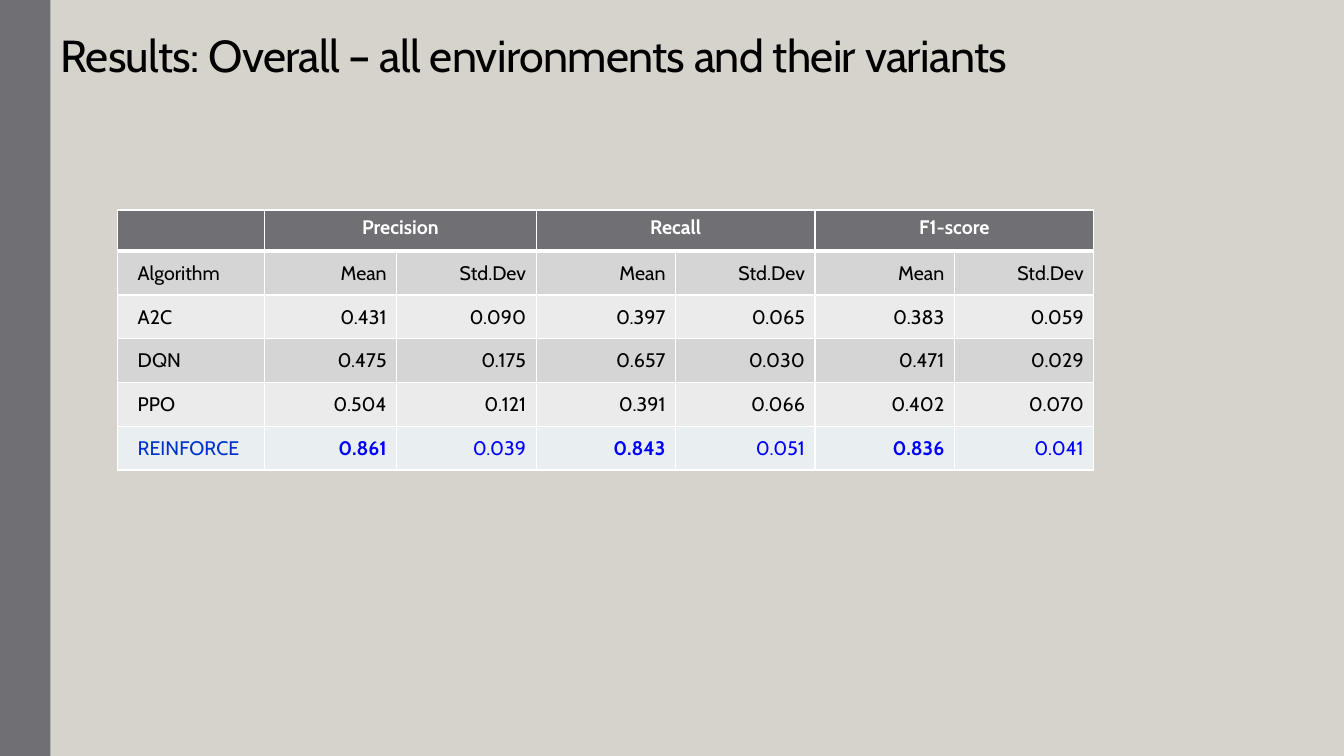
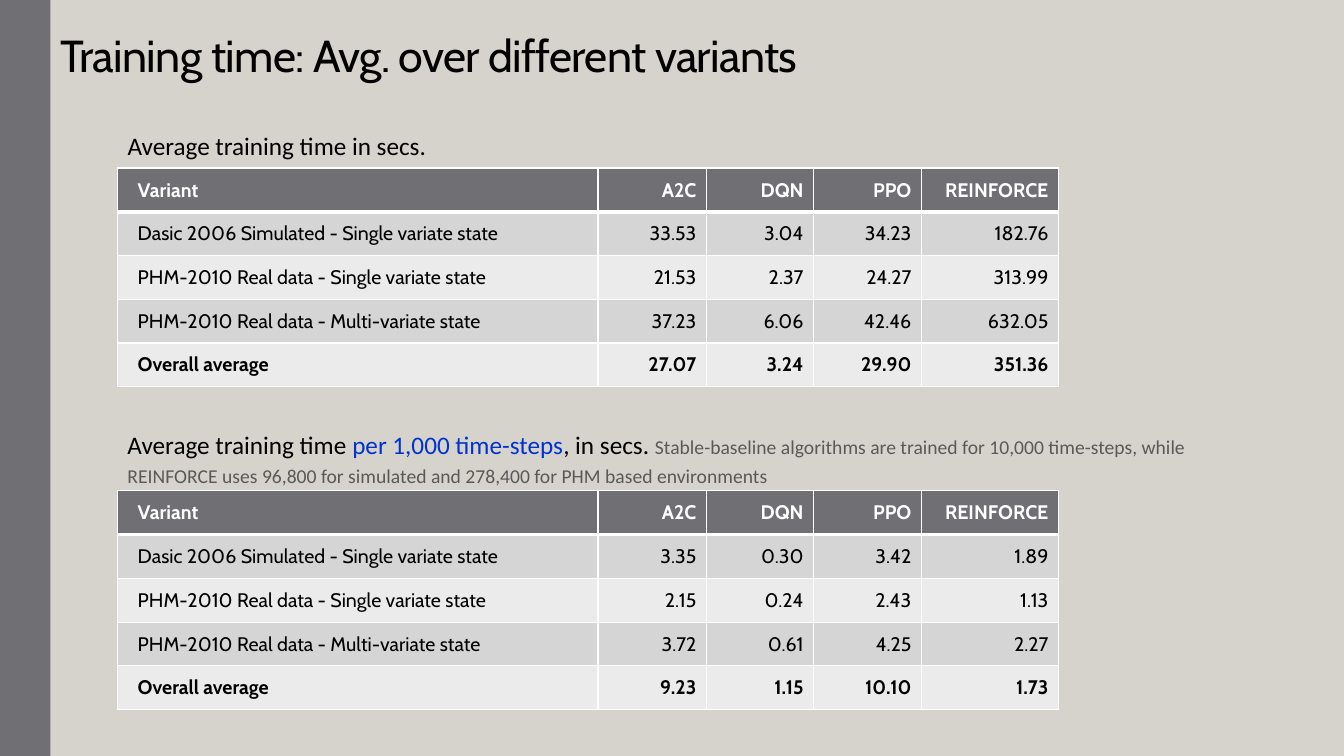
from lxml import etree
from pptx import Presentation
from pptx import util as u
from pptx.dml import color
from pptx.enum import shapes, text
from pptx.oxml import ns

# Grid of 80 columns by 45 rows, each a sixth of an inch
COLUMNS, ROWS = 80, 45
CELL = u.Inches(1) // 6
MARGIN = 7
ROW_HEIGHT = 2.46

COLOURS = {
    "paper": "D6D3CC", "band": "6F6F74", "white": "FFFFFF", "ink": "000000",
    "dark row": "D5D5D6", "light row": "EBEBEB", "highlight row": "E9EEF1",
    "link blue": "0033CC", "best blue": "0000FF", "note": "595959",
}
TITLE_FONT, BODY_FONT = "Cabin", "Calibri"
RIGHT, CENTER, LEFT = text.PP_ALIGN.RIGHT, text.PP_ALIGN.CENTER, text.PP_ALIGN.LEFT
TOP, BOTTOM = text.MSO_ANCHOR.TOP, text.MSO_ANCHOR.BOTTOM


def rgb(name):
    return color.RGBColor.from_string(COLOURS[name])


def grid(*lengths):
    return [u.Emu(round(length * CELL)) for length in lengths]


class Deck:
    """Holds the shared style and the slide being filled."""

    def __init__(self):
        self.prs = Presentation()
        self.prs.slide_width, self.prs.slide_height = grid(COLUMNS, ROWS)
        self.slide = None

    def new_slide(self, title):
        self.slide = self.prs.slides.add_slide(self.prs.slide_layouts[6])
        background = self.slide.background.fill
        background.solid()
        background.fore_color.rgb = rgb("paper")
        # Title
        heading = self.text_box(3, 0, 70, 5.16, [(title, 32, "ink")], TITLE_FONT, 0.85)
        heading.vertical_anchor = BOTTOM
        heading.paragraphs[0].runs[0]._r.get_or_add_rPr().set("spc", "-50")
        # Side band
        band = self.slide.shapes.add_shape(
            shapes.MSO_SHAPE.RECTANGLE, *grid(0, 0, 3, ROWS))
        band.shadow.inherit = False
        band.fill.solid()
        band.fill.fore_color.rgb = rgb("band")
        band.line.fill.background()

    def format(self, run, size, ink, font, bold=False):
        run.font.size = u.Pt(size)
        run.font.name = font
        run.font.bold = bold
        run.font.color.rgb = rgb(ink)

    def text_box(self, left, top, width, height, parts, font=BODY_FONT, spacing=1.0):
        frame = self.slide.shapes.add_textbox(*grid(left, top, width, height)).text_frame
        frame.word_wrap = True
        paragraph = frame.paragraphs[0]
        paragraph.line_spacing = spacing
        for words, size, ink in parts:
            run = paragraph.add_run()
            run.text = words
            self.format(run, size, ink, font)
        return frame

    def caption(self, top, width, height, parts, spacing=1.0):
        frame = self.text_box(MARGIN, top, width, height, parts, spacing=spacing)
        frame.auto_size = text.MSO_AUTO_SIZE.SHAPE_TO_FIT_TEXT

    def borders(self, cell, top, bottom):
        properties = cell._tc.get_or_add_tcPr()
        for side, points in (("L", 1), ("R", 1), ("T", top), ("B", bottom)):
            line = etree.SubElement(properties, ns.qn("a:ln" + side), w=str(u.Pt(points)))
            fill = etree.SubElement(line, ns.qn("a:solidFill"))
            etree.SubElement(fill, ns.qn("a:srgbClr"), val=COLOURS["white"])

    def table(self, top, widths, rows, look, anchor=TOP, grouped=False):
        """Draw rows; look(row, column) gives fill, ink and bold of a cell.
        A grouped header spans pairs of columns after the first."""
        table = self.slide.shapes.add_table(
            len(rows), len(widths),
            *grid(MARGIN, top, sum(widths), ROW_HEIGHT * len(rows))).table
        table.first_row = table.horz_banding = False
        for column, width in zip(table.columns, grid(*widths)):
            column.width = width
        for r, values in enumerate(rows):
            table.rows[r].height = grid(ROW_HEIGHT)[0]
            group_row = grouped and r == 0
            for c, value in enumerate(values):
                cell = table.cell(r, c)
                fill, ink, bold = look(r, c)
                self.borders(cell, 3 if r == 1 else 1, 3 if r == 0 else 1)
                cell.fill.solid()
                cell.fill.fore_color.rgb = rgb(fill)
                if not group_row:
                    cell.margin_left = u.Inches(0.2)
                    cell.margin_right = cell.margin_top = cell.margin_bottom = u.Inches(0.1)
                    cell.vertical_anchor = anchor
                if value:
                    paragraph = cell.text_frame.paragraphs[0]
                    paragraph.text = value
                    paragraph.alignment = CENTER if group_row else RIGHT if c else LEFT
                    self.format(paragraph.runs[0], 14, ink, TITLE_FONT, bold)
        if grouped:
            for c in range(1, len(widths), 2):
                table.cell(0, c).merge(table.cell(0, c + 1))


def row_look(row):
    """Header in the band colour, then alternating rows."""
    if row == 0:
        return "band", "white", True
    return ("dark row" if row % 2 else "light row"), "ink", False


def score_look(row, column):
    if row < len(SCORES) - 1:
        return row_look(row)
    is_mean = column % 2 == 1
    return "highlight row", "best blue" if column else "link blue", is_mean


def time_look(row, column):
    fill, ink, bold = row_look(row)
    return fill, ink, bold or row == len(VARIANTS)


# Content
SCORES = [
    ["", "Precision", "", "Recall", "", "F1-score", ""],
    ["Algorithm"] + ["Mean", "Std.Dev"] * 3,
    ["A2C", "0.431", "0.090", "0.397", "0.065", "0.383", "0.059"],
    ["DQN", "0.475", "0.175", "0.657", "0.030", "0.471", "0.029"],
    ["PPO", "0.504", "0.121", "0.391", "0.066", "0.402", "0.070"],
    ["REINFORCE", "0.861", "0.039", "0.843", "0.051", "0.836", "0.041"],
]
SCORE_WIDTHS = [8.76, 7.86] + [8.3] * 5

TIME_HEADER = ["Variant", "A2C", "DQN", "PPO", "REINFORCE"]
VARIANTS = [
    "Dasic 2006 Simulated - Single variate state",
    "PHM-2010 Real data - Single variate state",
    "PHM-2010 Real data - Multi-variate state",
    "Overall average",
]
TOTAL_TIMES = [
    ["33.53", "3.04", "34.23", "182.76"],
    ["21.53", "2.37", "24.27", "313.99"],
    ["37.23", "6.06", "42.46", "632.05"],
    ["27.07", "3.24", "29.90", "351.36"],
]
STEP_TIMES = [
    ["3.35", "0.30", "3.42", "1.89"],
    ["2.15", "0.24", "2.43", "1.13"],
    ["3.72", "0.61", "4.25", "2.27"],
    ["9.23", "1.15", "10.10", "1.73"],
]
TIME_WIDTHS = [28.6, 6.46, 6.38, 6.42, 8.16]
TOTAL_CAPTION = [("Average training time in secs.", 18, "ink")]
STEP_CAPTION = [
    ("Average training time ", 18, "ink"),
    ("per 1,000 time-steps", 18, "link blue"),
    (", in secs. ", 18, "ink"),
    ("Stable-baseline algorithms are trained for 10,000 time-steps, while REINFORCE "
     "uses 96,800 for simulated and 278,400 for PHM based environments", 14, "note"),
]


def main():
    deck = Deck()

    # Overall scores
    deck.new_slide("Results: Overall – all environments and their variants")
    deck.table(12.5, SCORE_WIDTHS, SCORES, score_look, BOTTOM, grouped=True)

    # Training times
    deck.new_slide("Training time: Avg. over different variants")
    deck.caption(7.44, 58.14, 2.4, TOTAL_CAPTION)
    deck.caption(24.9, 64.2, 4.38, STEP_CAPTION, spacing=1.2)
    for top, times in ((10, TOTAL_TIMES), (29.22, STEP_TIMES)):
        rows = [TIME_HEADER] + [[name] + values for name, values in zip(VARIANTS, times)]
        deck.table(top, TIME_WIDTHS, rows, time_look)

    deck.prs.save("out.pptx")


if __name__ == "__main__":
    main()
